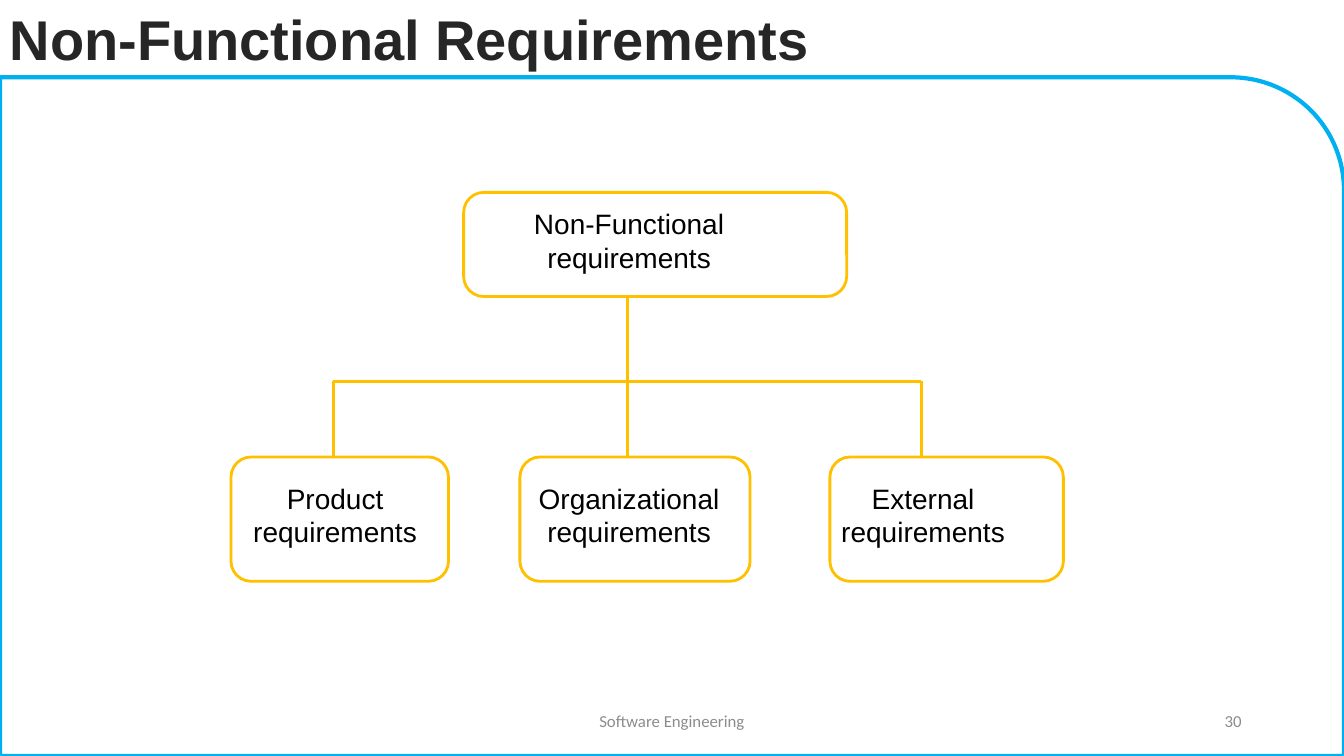
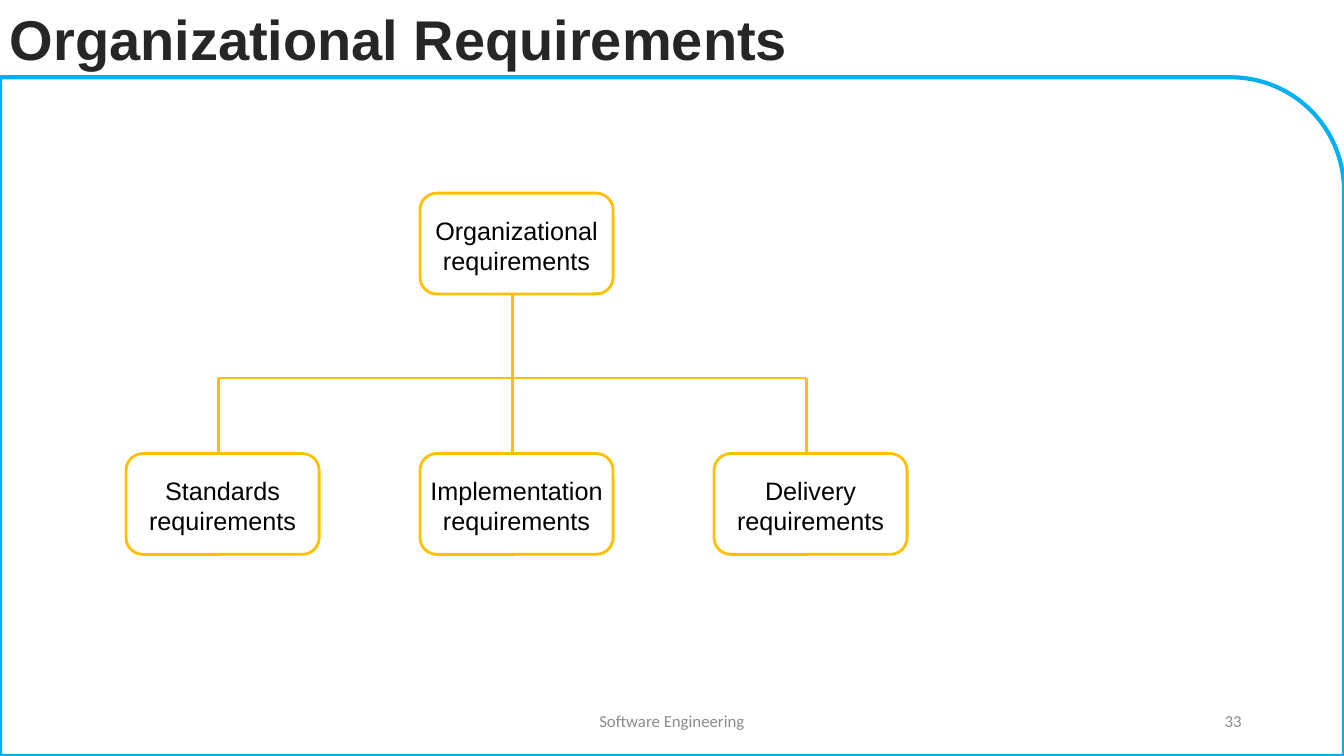
from lxml import etree
from pptx import Presentation
from pptx import util as u
from pptx.dml.color import RGBColor
from pptx.enum import shapes, text
from pptx.oxml.ns import qn

CELL = u.Inches(1) // 12  # the grid: 160 columns by 90 rows
COLUMNS, ROWS = 160, 90
BAND = 9.2  # rows taken by the title

INK, BLACK, GREY = "262626", "000000", "8C8C8C"
WHITE, SKY, AMBER = "FFFFFF", "00B0F0", "FFC000"


def cells(count):
    return u.Emu(round(count * CELL))


def colour(code):
    return RGBColor.from_string(code)


class Deck:
    """Holds the shared style, the grid and the current slide."""

    def __init__(self):
        self.show = Presentation()
        self.show.slide_width = cells(COLUMNS)
        self.show.slide_height = cells(ROWS)
        self.slide = None

    def page(self, title, number):
        self.slide = self.show.slides.add_slide(self.show.slide_layouts[6])
        self.textbox((0, 0, 119.6, BAND), title, 40, INK, bold=True)
        self.shape(shapes.MSO_SHAPE.ROUND_1_RECTANGLE,
                   (0, BAND, COLUMNS, ROWS - BAND), SKY, 3, WHITE)
        footer = dict(font="Calibri", anchor=text.MSO_ANCHOR.MIDDLE)
        self.textbox((53, 83.4, 54, 4.8), "Software Engineering", 12, GREY,
                     align=text.PP_ALIGN.CENTER, **footer)
        self.textbox((113, 83.4, 36, 4.8), str(number), 12, GREY,
                     align=text.PP_ALIGN.RIGHT, **footer)

    def set_words(self, frame, words, size, ink, font="Arial", bold=False,
                  align=text.PP_ALIGN.LEFT, anchor=text.MSO_ANCHOR.TOP):
        """Fill a text frame, one paragraph per line of words."""
        frame.word_wrap = True
        frame.vertical_anchor = anchor
        for index, line in enumerate(words.split("\n")):
            paragraph = frame.add_paragraph() if index else frame.paragraphs[0]
            paragraph.alignment = align
            run = paragraph.add_run()
            run.text = line
            run.font.name, run.font.size = font, u.Pt(size)
            run.font.bold = bold
            run.font.color.rgb = colour(ink)

    def textbox(self, area, words, size, ink, **style):
        box = self.slide.shapes.add_textbox(*map(cells, area))
        self.set_words(box.text_frame, words, size, ink, **style)

    def shape(self, preset, area, line, weight, fill=None):
        outline = self.slide.shapes.add_shape(preset, *map(cells, area))
        outline.shadow.inherit = False
        if fill:
            outline.fill.solid()
            outline.fill.fore_color.rgb = colour(fill)
        else:
            outline.fill.background()
        outline.line.color.rgb = colour(line)
        outline.line.width = u.Pt(weight)
        return outline

    def node(self, area, words, size, radius, centre, lift):
        """Rounded box whose text is centred on a column and raised by lift rows."""
        left, _, width, height = area
        box = self.shape(shapes.MSO_SHAPE.ROUNDED_RECTANGLE, area, AMBER, 2)
        box.adjustments[0] = radius / min(width, height)
        shift = centre - (left + width / 2)
        frame = box.text_frame
        frame.margin_left = cells(max(0, 2 * shift))
        frame.margin_right = cells(max(0, -2 * shift))
        frame.margin_top = cells(max(0, -2 * lift))
        frame.margin_bottom = cells(max(0, 2 * lift))
        self.set_words(frame, words, size, BLACK, align=text.PP_ALIGN.CENTER,
                       anchor=text.MSO_ANCHOR.MIDDLE)

    def line(self, *ends):
        link = self.slide.shapes.add_connector(
            shapes.MSO_CONNECTOR.STRAIGHT, *map(cells, ends))
        link.line.color.rgb = colour(AMBER)
        link.line.width = u.Pt(2)
        etree.SubElement(link._element.spPr, qn("a:effectLst"))

    def tree(self, root, branches, top, height, trunk, size, radius, nudge, lift):
        """Root box over three branches; branches hold (left, width, words)."""
        pitch, rise = 35, 9
        root_area, root_words = root
        stems = [trunk + step * pitch for step in (-1, 0, 1)]
        self.node(root_area, root_words, size, radius, trunk + nudge, lift)
        for stem, (left, width, words) in zip(stems, branches):
            self.node((left, top, width, height), words, size, radius,
                      stem + nudge, lift)
        bus = top - rise
        self.line(trunk, root_area[1] + root_area[3], trunk, top)
        for stem in (stems[0], stems[-1]):
            self.line(stem, top, stem, bus)
        self.line(stems[0], bus, stems[-1], bus)


def main():
    deck = Deck()

    deck.page("Non-Functional Requirements", 30)
    deck.tree(
        root=((55.2, 22.9, 45.6, 12.4), "Non-Functional\nrequirements"),
        branches=[(27.5, 25.9, "Product requirements"),
                  (61.9, 27.4, "Organizational requirements"),
                  (98.8, 27.8, "External requirements")],
        top=54.4, height=14.8, trunk=74.7, size=20, radius=2.4,
        nudge=0.2, lift=0.5)

    deck.page("Organizational Requirements", 33)
    names = ("Standards", "Implementation", "Delivery")
    deck.tree(
        root=((50, 23, 23, 12), "Organizational\nrequirements"),
        branches=[(15 + 35 * column, 23, f"{name} requirements")
                  for column, name in enumerate(names)],
        top=54, height=12, trunk=61, size=18, radius=2,
        nudge=0.5, lift=-0.2)

    deck.show.save("out.pptx")


if __name__ == "__main__":
    main()
